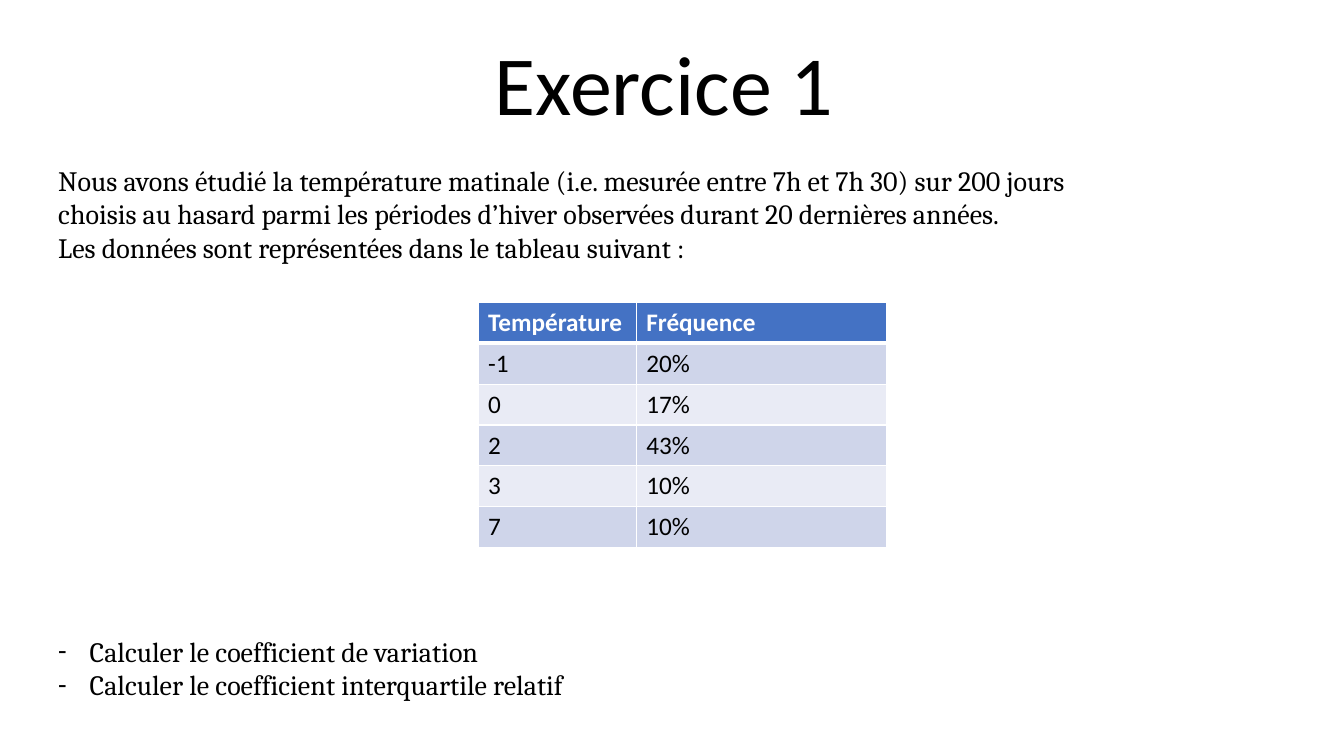
"""Build the slide of a statistics exercise on morning temperatures."""
from lxml import etree
from pptx import Presentation
from pptx.dml.color import RGBColor
from pptx.enum.text import MSO_ANCHOR, MSO_AUTO_SIZE, PP_ALIGN
from pptx.oxml.ns import qn
from pptx.util import Pt

BOTTOM = MSO_ANCHOR.BOTTOM
CENTER = PP_ALIGN.CENTER
NO_FIT = MSO_AUTO_SIZE.NONE
TITLE_ONLY = 5

BLACK = RGBColor(0x00, 0x00, 0x00)
WHITE = RGBColor(0xFF, 0xFF, 0xFF)
BLUE = RGBColor(0x44, 0x72, 0xC4)
BANDS = (RGBColor(0xE9, 0xEB, 0xF5), RGBColor(0xCF, 0xD5, 0xEA))

TITLE = "Exercice 1"
STATEMENT = [
    "Nous avons étudié la température matinale (i.e. mesurée entre 7h et 7h 30) "
    "sur 200 jours choisis au hasard parmi les périodes d’hiver observées "
    "durant 20 dernières années.",
    "Les données sont représentées dans le tableau suivant :",
]
QUESTIONS = [
    "Calculer le coefficient de variation",
    "Calculer le coefficient interquartile relatif",
]
FREQUENCIES = [
    ("Température", "Fréquence"),
    ("-1", "20%"),
    ("0", "17%"),
    ("2", "43%"),
    ("3", "10%"),
    ("7", "10%"),
]

TEXT_LEFT, TEXT_WIDTH = 34.5, 790.5
STATEMENT_TOP, QUESTIONS_TOP = 113, 449.4
TABLE_LEFT, TABLE_TOP = 341.5, 216
COLUMN_WIDTHS = (113, 179)
ROW_HEIGHT = 29.2
BULLET_INDENT = 22.5


def style(para, name, size, color, bold=False):
    for span in para.runs:
        span.font.name = name
        span.font.size = Pt(size)
        span.font.bold = bold
        span.font.color.rgb = color


def add_dash(para):
    properties = para._p.get_or_add_pPr()
    properties.set("marL", str(Pt(BULLET_INDENT)))
    properties.set("indent", str(-Pt(BULLET_INDENT)))
    etree.SubElement(properties, qn("a:buFont"), typeface="Calibri")
    etree.SubElement(properties, qn("a:buChar"), char="-")


def add_text(page, lines, top, height, dashed=False):
    box = page.shapes.add_textbox(Pt(TEXT_LEFT), Pt(top), Pt(TEXT_WIDTH), Pt(height))
    frame = box.text_frame
    frame.word_wrap = True
    frame.text = "\n".join(lines)
    for para in frame.paragraphs:
        if dashed:
            add_dash(para)
        style(para, "Cambria", 20, BLACK)


def add_borders(cell, top, bottom):
    properties = cell._tc.get_or_add_tcPr()
    for side, width in (("L", 1), ("R", 1), ("T", top), ("B", bottom)):
        line = etree.SubElement(properties, qn("a:ln" + side), w=str(Pt(width)))
        fill = etree.SubElement(line, qn("a:solidFill"))
        etree.SubElement(fill, qn("a:srgbClr"), val=str(WHITE))


def add_frequencies(page):
    count = len(FREQUENCIES)
    table = page.shapes.add_table(
        count, len(COLUMN_WIDTHS), Pt(TABLE_LEFT), Pt(TABLE_TOP),
        Pt(sum(COLUMN_WIDTHS)), Pt(ROW_HEIGHT * count),
    ).table
    for column, width in zip(table.columns, COLUMN_WIDTHS):
        column.width = Pt(width)
    for row, values in enumerate(FREQUENCIES):
        table.rows[row].height = Pt(ROW_HEIGHT)
        header = row == 0
        for column, value in enumerate(values):
            cell = table.cell(row, column)
            cell.text = value
            add_borders(cell, 3 if row == 1 else 1, 3 if header else 1)
            cell.fill.solid()
            cell.fill.fore_color.rgb = BLUE if header else BANDS[row % 2]
            style(cell.text_frame.paragraphs[0], "Calibri", 18,
                  WHITE if header else BLACK, header)


def add_title(page):
    title = page.shapes.title
    title.left, title.top, title.width, title.height = Pt(114.5), Pt(2), Pt(720), Pt(97.2)
    frame = title.text_frame
    frame.text = TITLE
    frame.auto_size = NO_FIT
    frame.vertical_anchor = BOTTOM
    para = frame.paragraphs[0]
    para.alignment = CENTER
    para.line_spacing = 0.9
    style(para, "Calibri", 60, BLACK)


def main():
    deck = Presentation()
    deck.slide_width, deck.slide_height = Pt(960), Pt(540)
    page = deck.slides.add_slide(deck.slide_layouts[TITLE_ONLY])
    add_title(page)
    add_text(page, STATEMENT, STATEMENT_TOP, 79)
    add_frequencies(page)
    add_text(page, QUESTIONS, QUESTIONS_TOP, 55, dashed=True)
    deck.save("out.pptx")


if __name__ == "__main__":
    main()
